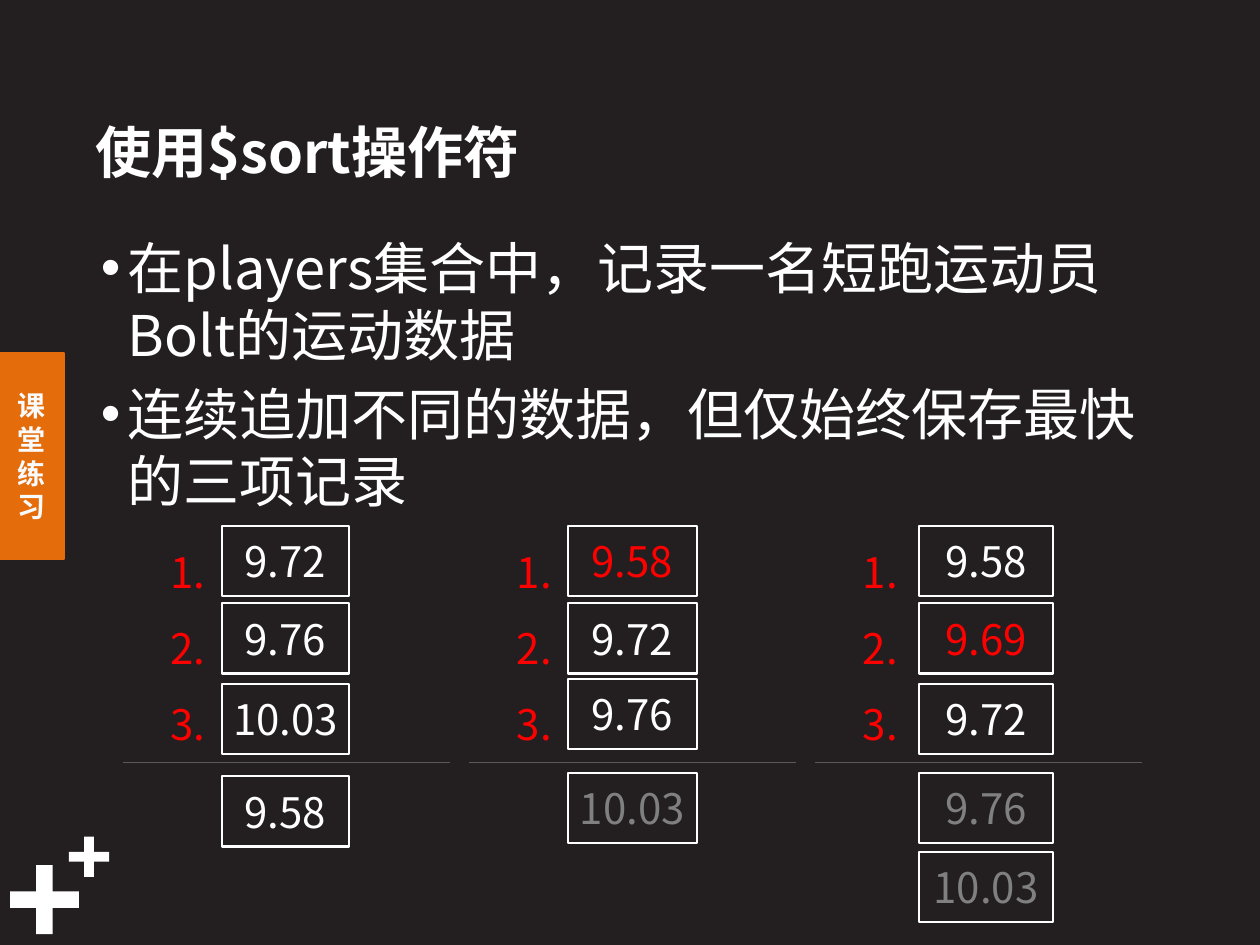
from lxml import etree
from pptx import Presentation
from pptx.dml.color import RGBColor
from pptx.enum import shapes, text
from pptx.oxml import ns
from pptx.util import Inches, Pt

WIDE = 7.5
HIGH = WIDE * 3 / 4
FONT = "Noto Sans CJK SC"
HEX = {"back": "231F20", "white": "FFFFFF", "tab": "E46C0A", "pale": "F9FAFB",
       "new": "FF0000", "drop": "808080", "rule": "595959"}

TITLE = "使用$sort操作符"
POINTS = ["在players集合中，记录一名短跑运动员Bolt的运动数据",
          "连续追加不同的数据，但仅始终保存最快的三项记录"]
TAB = ["课", "堂", "练习"]
RANKS = ["1.", "2.", "3."]
PLUSES = [(0.06, 5.15, 0.41), (0.41, 4.98, 0.24)]

# Each stage: box left within its column, box width, (value, colour, top)
STAGES = [
    (0.59, 0.76, [("9.72", "white", 3.13), ("9.76", "white", 3.59),
                  ("10.03", "white", 4.07), ("9.58", "white", 4.62)]),
    (0.59, 0.77, [("9.58", "new", 3.13), ("9.72", "white", 3.59),
                  ("9.76", "white", 4.04), ("10.03", "drop", 4.6)]),
    (0.62, 0.8, [("9.58", "white", 3.13), ("9.69", "new", 3.59),
                 ("9.72", "white", 4.07), ("9.76", "drop", 4.6),
                 ("10.03", "drop", 5.07)]),
]
LEFT, PITCH, RULE_W, RULE_Y = 0.73, 2.06, 1.95, 4.54
BOX_H = 0.42
RANK_X, RANK_Y, RANK_W, RANK_H = 0.18, 3.04, 0.42, 1.48

MID, TOP = text.MSO_ANCHOR.MIDDLE, text.MSO_ANCHOR.TOP
CENTER, START = text.PP_ALIGN.CENTER, text.PP_ALIGN.LEFT


def rgb(name):
    return RGBColor.from_string(HEX[name])


def inches(*vals):
    return [Inches(v) for v in vals]


def write(shape, lines, size, color, bold=False, align=CENTER, anchor=MID,
          pad=(0.06, 0.06), wrap=False, gap=1.0, bullet=False):
    frame = shape.text_frame
    padx, pady = inches(*pad)
    form = {"word_wrap": wrap, "auto_size": text.MSO_AUTO_SIZE.NONE,
            "vertical_anchor": anchor, "margin_left": padx,
            "margin_right": padx, "margin_top": pady, "margin_bottom": pady}
    for key, val in form.items():
        setattr(frame, key, val)
    for i, line in enumerate(lines):
        para = frame.paragraphs[0] if i == 0 else frame.add_paragraph()
        para.alignment, para.line_spacing = align, gap
        para.space_before = Pt(0.2 * size if bullet and i else 0)
        if bullet:
            props = para._p.get_or_add_pPr()
            props.set("marL", str(Inches(0.16)))
            props.set("indent", str(-Inches(0.16)))
            face = etree.SubElement(props, ns.qn("a:buFont"))
            face.set("typeface", "Arial")
            etree.SubElement(props, ns.qn("a:buChar")).set("char", "•")
        run = para.add_run()
        run.text = line
        for key, val in {"size": Pt(size), "bold": bold, "name": FONT}.items():
            setattr(run.font, key, val)
        run.font.color.rgb = rgb(color)
        east = etree.SubElement(run._r.get_or_add_rPr(), ns.qn("a:ea"))
        east.set("typeface", FONT)


def draw(parent, kind, at, fill=None, line=None, width=1):
    shape = parent.add_shape(kind, *inches(*at))
    shape.shadow.inherit = False
    for part, color in ((shape.fill, fill), (shape.line.fill, line)):
        if color:
            part.solid()
            part.fore_color.rgb = rgb(color)
        else:
            part.background()
    if line:
        shape.line.width = Pt(width)
    return shape


def place(shape, *at):
    shape.left, shape.top, shape.width, shape.height = inches(*at)


def add_stage(slide, col, inset, width, rows):
    """Draw one ranking: its boxes, its rank numbers and the cut-off rule."""
    group = slide.shapes.add_group_shape().shapes
    left = LEFT + col * PITCH
    for value, color, top in rows:
        box = draw(group, shapes.MSO_SHAPE.RECTANGLE,
                   (left + inset, top, width, BOX_H), line="white")
        write(box, [value], 18, color)
    rule = group.add_connector(
        shapes.MSO_CONNECTOR.STRAIGHT,
        *inches(left, RULE_Y, left + RULE_W, RULE_Y))
    rule.line.color.rgb = rgb("rule")
    rule.line.width = Pt(0.5)
    etree.SubElement(rule._element.spPr, ns.qn("a:effectLst"))
    ranks = group.add_textbox(
        *inches(left + RANK_X, RANK_Y, RANK_W, RANK_H))
    write(ranks, RANKS, 18, "new", gap=1.5)


def main():
    deck = Presentation()
    deck.slide_width, deck.slide_height = inches(WIDE, HIGH)
    slide = deck.slides.add_slide(deck.slide_layouts[1])
    slide.background.fill.solid()
    slide.background.fill.fore_color.rgb = rgb("back")

    title, body = slide.placeholders
    place(title, 0.47, 0.47, 4.63, 0.86)
    write(title, [TITLE], 24, "white", bold=True, align=START,
          pad=(0.1, 0.05), wrap=True)
    place(body, 0.5, 1.34, 6.67, 3.96)
    write(body, POINTS, 24, "white", align=START, anchor=TOP,
          pad=(0.1, 0.05), wrap=True, bullet=True)

    for x, y, side in PLUSES:
        plus = draw(slide.shapes, shapes.MSO_SHAPE.CROSS,
                    (x, y, side, side), fill="white")
        plus.adjustments[0] = 0.38
    tab = draw(slide.shapes, shapes.MSO_SHAPE.RECTANGLE,
               (0, 2.1, 0.38, 1.23), fill="tab", line="tab", width=0.75)
    write(tab, TAB, 12, "pale", bold=True, pad=(0.07, 0.04), wrap=True)

    for col, stage in enumerate(STAGES):
        add_stage(slide, col, *stage)
    deck.save("out.pptx")


if __name__ == "__main__":
    main()
